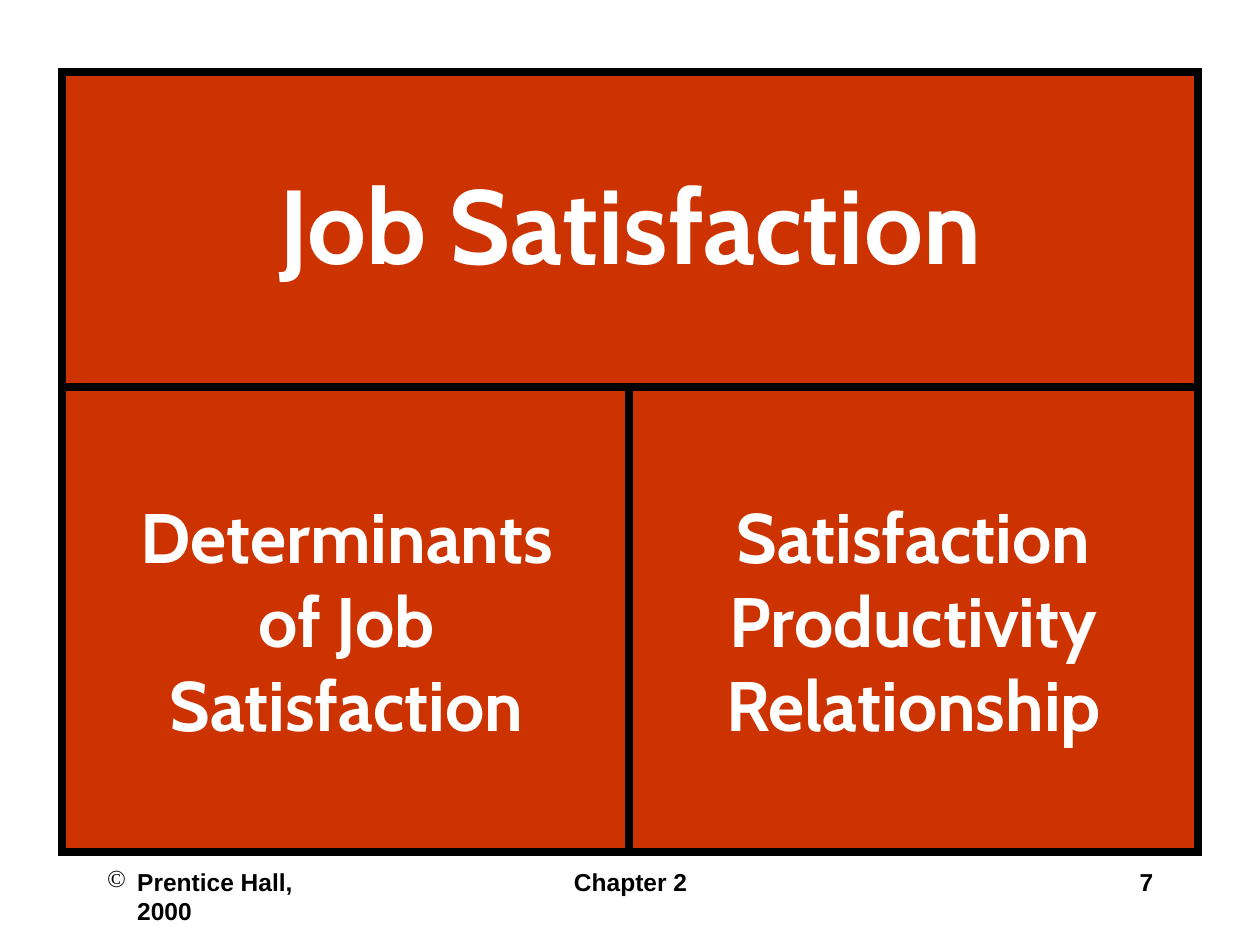
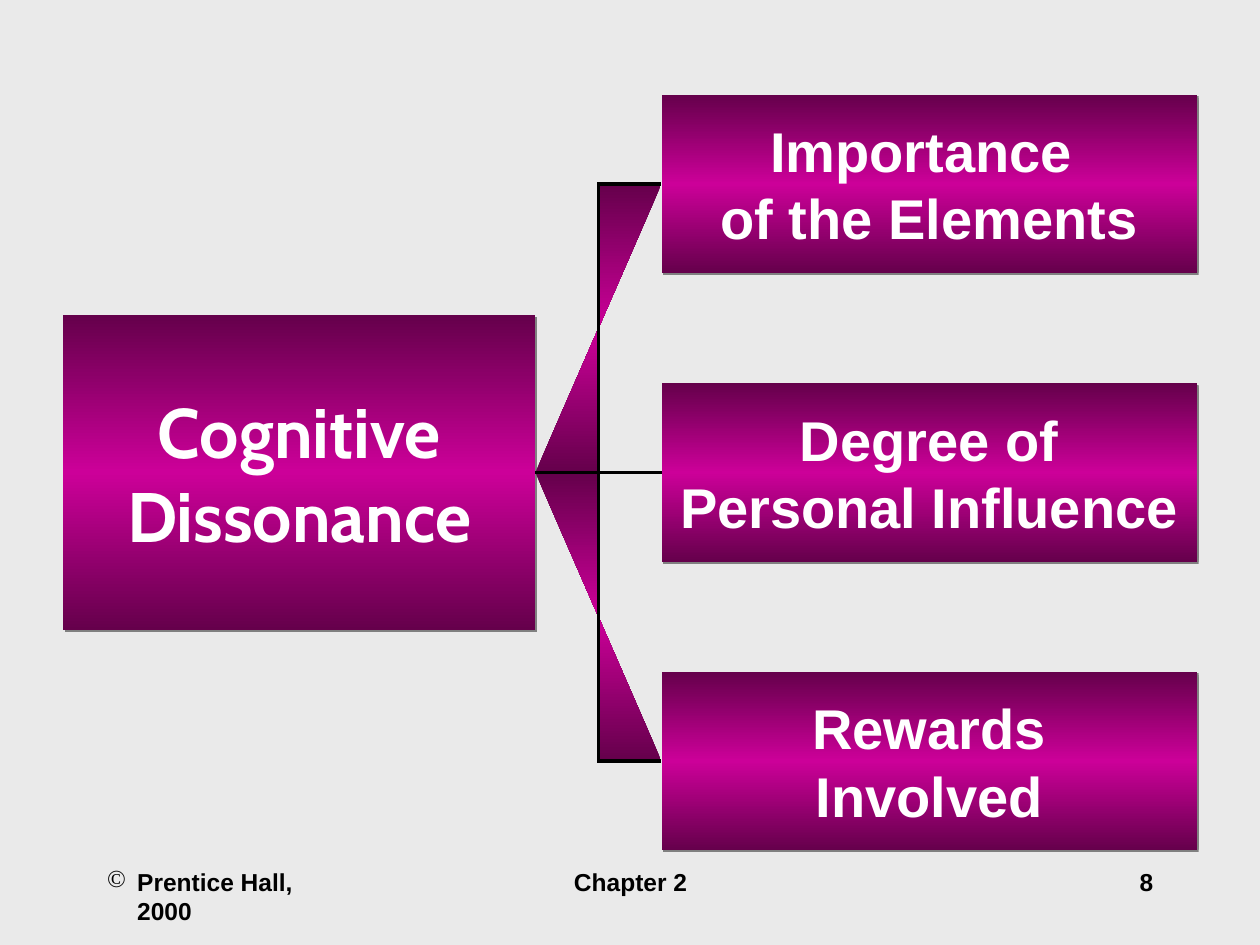
from copy import deepcopy

from lxml.etree import SubElement
from pptx import Presentation
from pptx.dml.color import RGBColor
from pptx.enum.shapes import MSO_CONNECTOR, MSO_SHAPE
from pptx.enum.text import MSO_ANCHOR, PP_ALIGN
from pptx.oxml.ns import qn
from pptx.util import Inches, Pt

BLACK = RGBColor(0x00, 0x00, 0x00)
WHITE = RGBColor(0xFF, 0xFF, 0xFF)
GREY = RGBColor(0xEA, 0xEA, 0xEA)
SHADE = RGBColor(0x80, 0x80, 0x80)
RED = RGBColor(0xCC, 0x33, 0x00)
PLUM = RGBColor(0x65, 0x00, 0x4B)
PINK = RGBColor(0xCC, 0x00, 0x99)

TITLE = dict(name="Cabin", size=Pt(60), bold=True)
HEAD = dict(name="Cabin", size=Pt(40), bold=True)
BODY = dict(name="Arial", size=Pt(32), bold=True)
FOOT = dict(name="Arial", size=Pt(14), bold=True)


# Shared helpers
def write(shape, lines, style, color, align, wrap=True):
    frame = shape.text_frame
    frame.word_wrap = wrap
    for i, line in enumerate(lines):
        para = frame.add_paragraph() if i else frame.paragraphs[0]
        para.alignment = align
        run = para.add_run()
        run.text = line
        for key, value in style.items():
            setattr(run.font, key, value)
        run.font.color.rgb = color
    return frame


def add_box(slide, box, lines, style, wrap=False):
    rect = slide.shapes.add_shape(MSO_SHAPE.RECTANGLE, *map(Inches, box))
    rect.shadow.inherit = False
    frame = write(rect, lines, style, WHITE, PP_ALIGN.CENTER, wrap)
    frame.vertical_anchor = MSO_ANCHOR.MIDDLE
    return rect


def set_line(shape, width):
    shape.line.color.rgb = BLACK
    shape.line.width = Pt(width)
    SubElement(shape._element.spPr.find(qn("a:ln")), qn("a:miter"), lim="800000")


def set_glow(shape):
    """Dark edges with a bright band across the middle."""
    shape.fill.gradient()
    shape.fill.gradient_angle = 270
    stops = shape._element.spPr.find(qn("a:gradFill")).find(qn("a:gsLst"))
    stops.append(deepcopy(stops[0]))
    for stop, color, pos in zip(shape.fill.gradient_stops,
                                (PLUM, PINK, PLUM), (0, 0.5, 1)):
        stop.color.rgb = color
        stop.position = pos


def add_shadow(shape):
    effects = shape._element.spPr.find(qn("a:effectLst"))
    outer = SubElement(effects, qn("a:outerShdw"), blurRad="0", dist=str(Pt(1.4)),
                       dir=str(45 * 60000), algn="ctr", rotWithShape="0")
    SubElement(outer, qn("a:srgbClr"), val=str(SHADE))


def add_slide(deck, color):
    slide = deck.slides.add_slide(deck.slide_layouts[6])
    slide.background.fill.solid()
    slide.background.fill.fore_color.rgb = color
    return slide


# Footer: copyright, chapter, page number
def add_foot(slide, page, top=6.83, high=0.5):
    parts = [(3.42, 3.17, "Chapter 2", PP_ALIGN.CENTER),
             (7.17, 2.08, str(page), PP_ALIGN.RIGHT),
             (0.75, 2.08, "Prentice Hall, 2000", PP_ALIGN.LEFT)]
    for left, wide, text, align in parts:
        note = slide.shapes.add_textbox(*map(Inches, (left, top, wide, high)))
        frame = write(note, [text], FOOT, BLACK, align)
    # The copyright sign is the bullet of the last part
    props = frame.paragraphs[0]._p.get_or_add_pPr()
    props.set("marL", str(Inches(0.24)))
    props.set("indent", str(-Inches(0.24)))
    tint = SubElement(props, qn("a:buClr"))
    SubElement(tint, qn("a:srgbClr"), val=str(BLACK))
    SubElement(props, qn("a:buChar"), char="©")


# One wide panel above two half panels
def add_panels(slide, box):
    left, top, wide, high = box
    upper, half, lap = 2.52, 4.52, 0.02
    low = top + upper - lap
    panels = [((left, top, wide, upper), ["Job Satisfaction"], TITLE)]
    halves = [["Determinants", "of Job", "Satisfaction"],
              ["Satisfaction", "Productivity", "Relationship"]]
    for i, lines in enumerate(halves):
        place = (left + i * (half - lap), low, half, top + high - low)
        panels.append((place, lines, HEAD))
    for place, lines, style in panels:
        panel = add_box(slide, place, lines, style, wrap=style is TITLE)
        panel.fill.solid()
        panel.fill.fore_color.rgb = RED
        set_line(panel, 4.5)
        if style is TITLE:
            panel.text_frame.paragraphs[0].line_spacing = 0.9


def add_elbow(slide, start, end):
    (x, y), (far, goal) = start, end
    mid = (x + far) / 2
    path = slide.shapes.build_freeform(Inches(x), Inches(y))
    path.add_line_segments([(Inches(a), Inches(b)) for a, b in
                            ((mid, y), (mid, goal), (far, goal))], close=False)
    elbow = path.convert_to_shape()
    elbow.shadow.inherit = False
    set_glow(elbow)
    set_line(elbow, 2)


# Topic on the left, branching to three factors on the right
def add_tree(slide, box):
    left, top, wide, high = box
    mid = top + high / 2
    factors = [["Importance ", "of the Elements"],
               ["Degree of", "Personal Influence"],
               ["Rewards", "Involved"]]
    leaf_w, leaf_h = 4.25, 1.42
    root_w, root_h = 3.75, 2.5
    edge = left + wide - leaf_w
    step = (high - leaf_h) / (len(factors) - 1)

    root = add_box(slide, (left, mid - root_h / 2, root_w, root_h),
                   ["Cognitive", "Dissonance"], HEAD)
    leaves = [add_box(slide, (edge, top + i * step, leaf_w, leaf_h), lines, BODY)
              for i, lines in enumerate(factors)]
    for node in (root, *leaves):
        set_glow(node)
        node.line.fill.background()
        add_shadow(node)

    # Branches
    for goal in (mid - step, mid + step):
        add_elbow(slide, (left + root_w, mid), (edge, goal))
    link = slide.shapes.add_connector(MSO_CONNECTOR.STRAIGHT, 0, 0, 0, 0)
    link.begin_connect(root, 3)
    link.end_connect(leaves[1], 1)
    set_line(link, 2)
    SubElement(link._element.spPr, qn("a:effectLst"))


def main():
    deck = Presentation()
    deck.slide_width, deck.slide_height = Inches(10), Inches(7.5)

    slide = add_slide(deck, WHITE)
    add_panels(slide, (0.49, 0.57, 9.02, 6.19))
    add_foot(slide, 7)

    slide = add_slide(deck, GREY)
    add_tree(slide, (0.5, 0.75, 9, 6))
    add_foot(slide, 8)

    deck.save("out.pptx")


if __name__ == "__main__":
    main()
